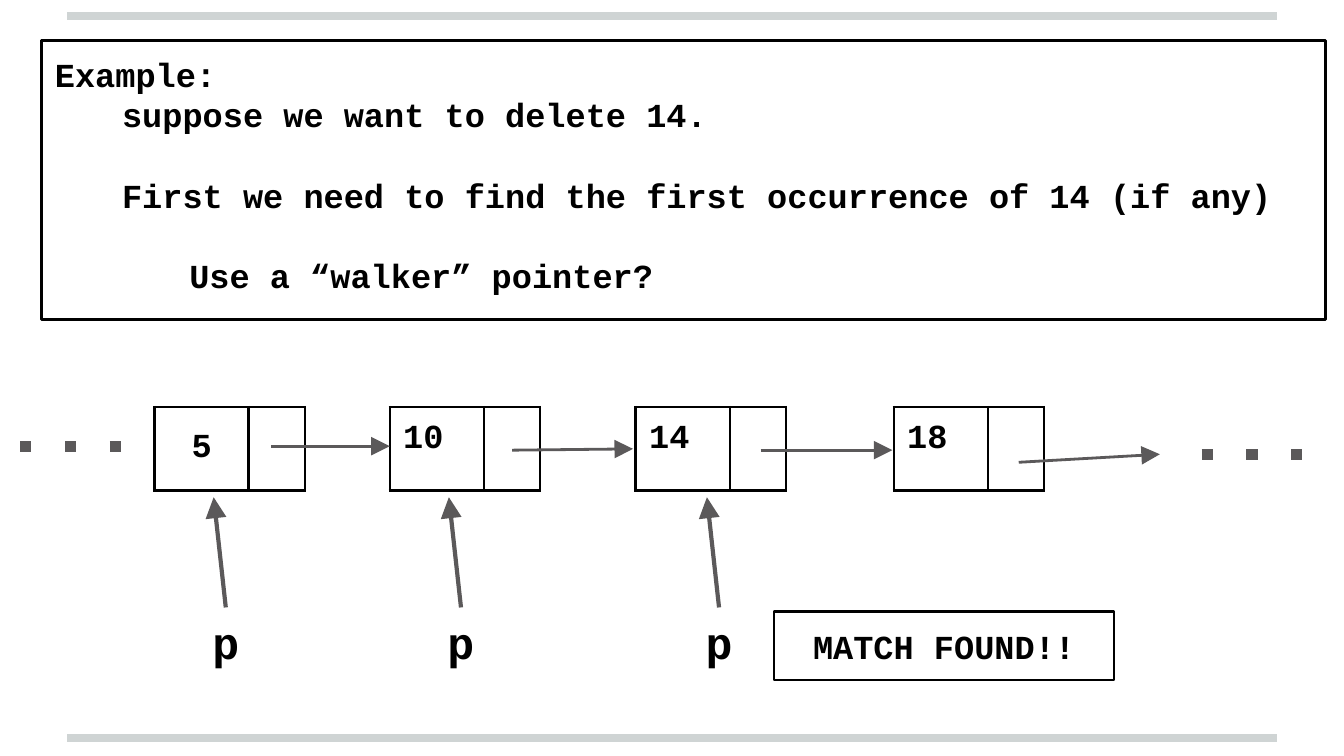
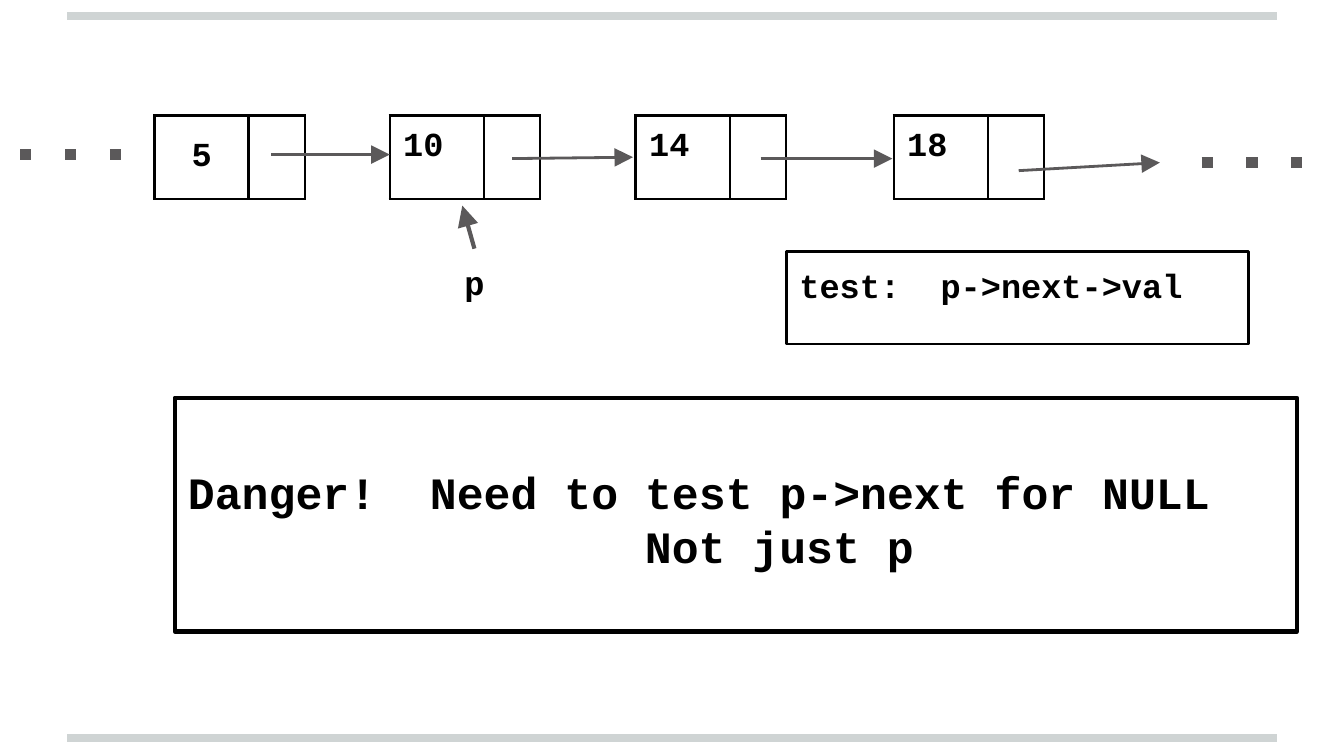
from dataclasses import dataclass
from typing import Optional

from lxml import etree
from pptx import Presentation
from pptx import util as u
from pptx.dml import color as dml
from pptx.enum import shapes, text
from pptx.oxml import ns

BLACK, GREY, BAND = "000000", "5B595A", "CFD4D4"
FONT = "Courier New"
INSET = 0.1
SKIPPED_LINE = 21.6  # points
NODE_WIDTHS, NODE_HEIGHT = (0.7, 0.42), 0.62
LEFT, CENTER = text.PP_ALIGN.LEFT, text.PP_ALIGN.CENTER
TOP, MIDDLE = text.MSO_ANCHOR.TOP, text.MSO_ANCHOR.MIDDLE


@dataclass
class Line:
    words: str
    indent: float = 0
    before: float = 0  # points


@dataclass
class Node:
    value: str
    left: float
    centered: bool = False


@dataclass
class Link:
    """A line whose heights are measured from the top of the nodes."""
    x1: float
    y1: float
    x2: float
    y2: float
    dotted: bool = False


@dataclass
class Box:
    left: float
    top: float
    width: float
    height: float
    lines: list
    size: int = 18
    border: Optional[float] = 1.5
    centered: bool = False
    anchor: text.MSO_ANCHOR = TOP
    top_inset: float = INSET


NODES = [Node("5", 1.15, True), Node("10", 2.9), Node("14", 4.73), Node("18", 6.65)]
LINKS = [
    Link(2.02, 0.29, 2.9, 0.29),
    Link(3.81, 0.32, 4.71, 0.31),
    Link(5.66, 0.32, 6.64, 0.32),
    Link(7.58, 0.41, 8.63, 0.35),
    Link(8.94, 0.35, 9.72, 0.35, dotted=True),
    Link(0.15, 0.29, 0.94, 0.29, dotted=True),
]


def rgb(value: str) -> dml.RGBColor:
    return dml.RGBColor.from_string(value)


def add_tag(parent, tag: str, **attributes: str):
    return etree.SubElement(parent, ns.qn(tag), attributes)


def format_all(target, values: dict) -> None:
    for name, value in values.items():
        setattr(target, name, value)


def write(frame, lines: list, size: int, centered: bool) -> None:
    for number, line in enumerate(lines):
        paragraph = frame.add_paragraph() if number else frame.paragraphs[0]
        paragraph.alignment = CENTER if centered else LEFT
        if line.before:
            paragraph.space_before = u.Pt(line.before)
        if line.indent:
            paragraph._p.get_or_add_pPr().set("marL", str(u.Inches(line.indent)))
        run = paragraph.add_run()
        run.text = line.words
        format_all(run.font, {"name": FONT, "size": u.Pt(size), "bold": True})
        run.font.color.rgb = rgb(BLACK)


def draw_line(slide, x1: float, y1: float, x2: float, y2: float, width: float,
              color: str = GREY, arrow: bool = False, dotted: bool = False):
    line = slide.shapes.add_connector(
        shapes.MSO_CONNECTOR.STRAIGHT, *map(u.Inches, (x1, y1, x2, y2)))
    line.line.color.rgb = rgb(color)
    line.line.width = u.Pt(width)
    outline = line.line._get_or_add_ln()
    if dotted:
        add_tag(outline, "a:prstDash", val="dot")
    if arrow:
        add_tag(outline, "a:tailEnd", type="triangle", w="lg", len="lg")
    add_tag(line.element.spPr, "a:effectLst")
    return line


def draw_box(slide, box: Box) -> None:
    place = map(u.Inches, (box.left, box.top, box.width, box.height))
    if box.border:
        shape = slide.shapes.add_shape(shapes.MSO_SHAPE.RECTANGLE, *place)
        shape.shadow.inherit = False
        shape.fill.background()
        shape.line.color.rgb = rgb(BLACK)
        shape.line.width = u.Pt(box.border)
    else:
        shape = slide.shapes.add_textbox(*place)
    format_all(shape.text_frame, {
        "word_wrap": True, "vertical_anchor": box.anchor,
        "margin_left": u.Inches(INSET), "margin_right": u.Inches(INSET),
        "margin_top": u.Inches(box.top_inset), "margin_bottom": u.Inches(INSET)})
    write(shape.text_frame, box.lines, box.size, box.centered)


def draw_node(slide, node: Node, top: float) -> None:
    table = slide.shapes.add_table(
        1, len(NODE_WIDTHS), u.Inches(node.left), u.Inches(top),
        u.Inches(sum(NODE_WIDTHS)), u.Inches(NODE_HEIGHT)).table
    table.first_row = table.horz_banding = False
    for column, width in zip(table.columns, NODE_WIDTHS):
        column.width = u.Inches(width)
    for cell in table.rows[0].cells:
        properties = cell._tc.get_or_add_tcPr()
        for side in ("a:lnL", "a:lnR", "a:lnT", "a:lnB"):
            border = add_tag(properties, side, w=str(u.Pt(1.5)))
            add_tag(add_tag(border, "a:solidFill"), "a:srgbClr", val=BLACK)
        cell.fill.background()
        sides = ("left", "right", "top", "bottom")
        format_all(cell, {f"margin_{side}": u.Inches(INSET) for side in sides})
    value = table.cell(0, 0)
    value.vertical_anchor = MIDDLE if node.centered else TOP
    write(value.text_frame, [Line(node.value)], 18, node.centered)


def draw_list(slide, top: float) -> None:
    for node in NODES:
        draw_node(slide, node, top)
    for link in LINKS:
        draw_line(slide, link.x1, top + link.y1, link.x2, top + link.y2,
                  6 if link.dotted else 1.5, arrow=not link.dotted, dotted=link.dotted)


def draw_walker(slide, x: float, top: float, tip: float, size: int,
                anchor: text.MSO_ANCHOR) -> None:
    """The label p, with an arrow up to the node it points at."""
    draw_line(slide, x, top, x - 0.09, tip, 2.25, arrow=True)
    draw_box(slide, Box(x - 0.28, top, 0.56, 0.51, [Line("p")], size,
                        border=None, centered=True, anchor=anchor))


deck = Presentation()
deck.slide_width, deck.slide_height = u.Inches(10), u.Inches(5.625)
layout = deck.slide_layouts[6]
search, danger = (deck.slides.add_slide(layout) for _ in range(2))

# Bands shared by all slides, kept on the layout
for band_y in (5.49, 0.12):
    band = draw_line(search, 0.5, band_y, 9.5, band_y, 4, BAND)
    layout.shapes.element.append(band.element)

# Slide 1: walk along the list until 14 is found
draw_list(search, 3.03)
draw_box(search, Box(0.31, 0.3, 9.55, 2.08, [
    Line("Example:"),
    Line("suppose we want to delete 14.", 0.5),
    Line("First we need to find the first occurrence of 14 (if any)", 0.5, SKIPPED_LINE),
    Line("Use a “walker” pointer?", 1, SKIPPED_LINE),
]))
for walker_x in (1.68, 3.43, 5.35):
    draw_walker(search, walker_x, 4.52, 3.7, 24, MIDDLE)
draw_box(search, Box(5.76, 4.55, 2.53, 0.51, [Line("MATCH FOUND!!")],
                     centered=True, anchor=MIDDLE))

# Slide 2: stop one node earlier, and test the next pointer
draw_list(danger, 0.86)
draw_walker(danger, 3.53, 1.85, 1.53, 18, TOP)
draw_box(danger, Box(5.85, 1.87, 3.44, 0.69, [Line("test:  p->next->val")]))
draw_box(danger, Box(1.3, 2.96, 8.35, 1.74, [
    Line("Danger!  Need to test p->next for NULL"),
    Line("Not just p", 3.4),
], 24, border=2.25, top_inset=0.5))

deck.save("out.pptx")
